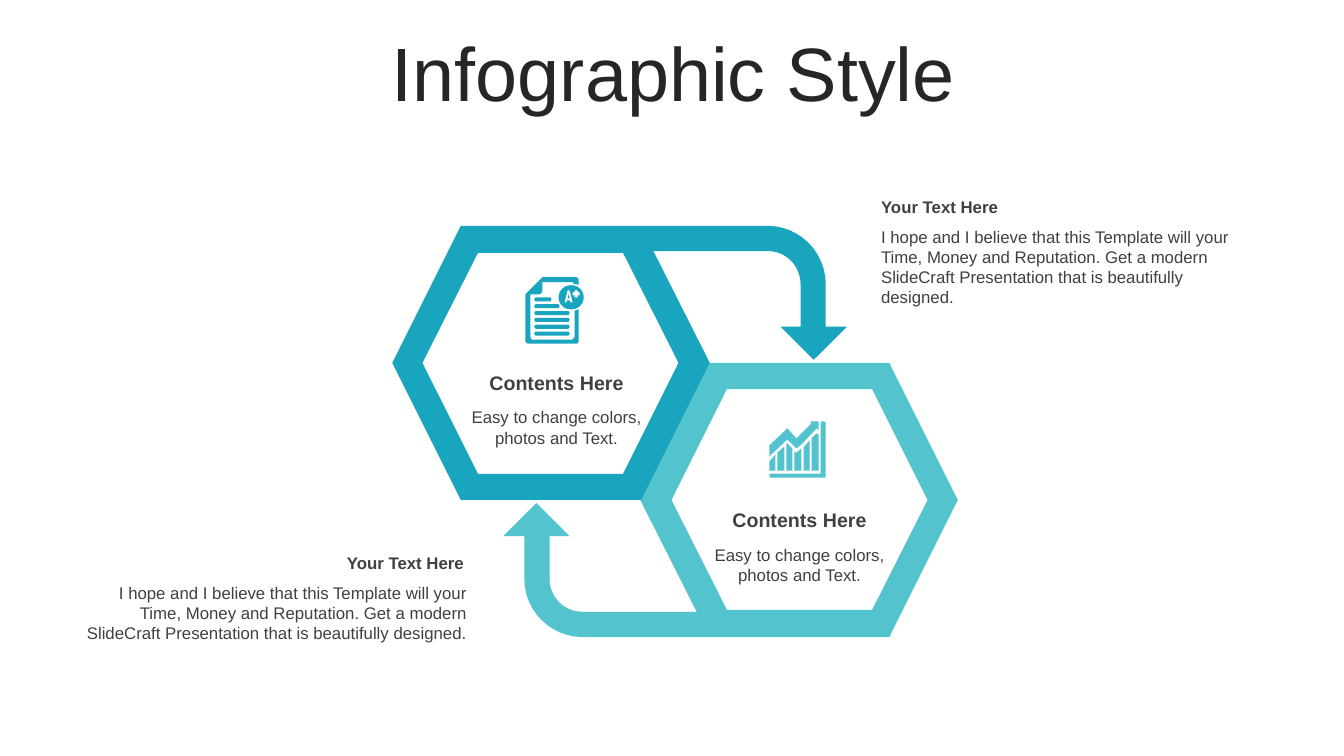
from dataclasses import dataclass
import math

import pptx
import pptx.dml.color
import pptx.enum.text
import pptx.util

Align = pptx.enum.text.PP_ALIGN
Anchor = pptx.enum.text.MSO_ANCHOR
Outline = list[tuple[float, ...]]  # two numbers: a corner; six: a Bézier curve

FONT = "Arial"
BLUE, AQUA, DARK, GREY = "19A5BE", "53C3CD", "262626", "404040"
PROMISE = ("I hope and I believe that this Template will your Time, Money and Reputation. "
           "Get a modern SlideCraft Presentation that is beautifully designed.")
CURVE_STEPS = 12


@dataclass
class Caption:
    text: str
    left: float
    top: float
    width: float
    height: float
    align: Align
    size: int = 12
    bold: bool = False
    space_before: float = 0


@dataclass
class Figure:
    outlines: list[Outline]
    color: str


def inches(value: float) -> pptx.util.Length:
    return pptx.util.Cm(value * 2.54)


def rgb(value: str) -> pptx.dml.color.RGBColor:
    return pptx.dml.color.RGBColor.from_string(value)


# Outline helpers
def flatten(outline: Outline) -> Outline:
    """Replace each Bézier curve by short straight steps."""
    points: Outline = []
    for item in outline:
        if len(item) == 2:
            points.append(item)
            continue
        start = points[-1]
        for step in range(1, CURVE_STEPS + 1):
            t = step / CURVE_STEPS
            u = 1 - t
            points.append(tuple(
                u**3 * start[i] + 3 * u * u * t * item[i]
                + 3 * u * t * t * item[i + 2] + t**3 * item[i + 4]
                for i in (0, 1)))
    return points


def pill(left: float, top: float, right: float, bottom: float) -> Outline:
    """A bar with round ends; as wide as high, it is a circle."""
    radius, middle = (bottom - top) / 2, (top + bottom) / 2
    points: Outline = []
    for center, first in ((right - radius, -90), (left + radius, 90)):
        for step in range(CURVE_STEPS + 1):
            angle = math.radians(first + 180 * step / CURVE_STEPS)
            points.append((center + radius * math.cos(angle),
                           middle + radius * math.sin(angle)))
    return points


def half_turn(outline: Outline, across: float, down: float) -> Outline:
    return [(across - x, down - y) for x, y in flatten(outline)]


# Drawing
def draw_figure(page, figure: Figure) -> None:
    builder = None
    for outline in figure.outlines:
        points = [(inches(x), inches(y)) for x, y in flatten(outline)]
        if builder is None:
            builder = page.shapes.build_freeform(*points[0])
        else:
            builder.move_to(*points[0])
        builder.add_line_segments(points[1:], close=True)
    shape = builder.convert_to_shape()
    shape.shadow.inherit = False
    shape.fill.solid()
    shape.fill.fore_color.rgb = rgb(figure.color)
    shape.line.fill.background()


def format_text(box, caption: Caption, color: str) -> None:
    box.left, box.top = inches(caption.left), inches(caption.top)
    box.width, box.height = inches(caption.width), inches(caption.height)
    frame = box.text_frame
    frame.text = caption.text
    frame.word_wrap = True
    para = frame.paragraphs[0]
    para.alignment = caption.align
    para.space_before = pptx.util.Pt(caption.space_before)
    font = para.runs[0].font
    font.name, font.size, font.bold = FONT, pptx.util.Pt(caption.size), caption.bold
    font.color.rgb = rgb(color)


# Hexagon with its bent arrow; the second is the first after a half turn
HEXAGON: list[Outline] = [
    [(4.74, 2.51), (4.19, 3.6), (4.74, 4.7), (6.18, 4.7), (6.73, 3.6), (6.18, 2.51)],
    [(4.57, 2.24), (7.61, 2.24), (7.93, 2.24, 8.19, 2.5, 8.19, 2.82), (8.19, 3.24),
     (8.4, 3.24), (8.07, 3.57), (7.74, 3.24), (7.94, 3.24), (7.94, 2.82),
     (7.94, 2.64, 7.8, 2.49, 7.61, 2.49), (6.48, 2.49), (7.04, 3.6), (6.36, 4.96),
     (4.57, 4.96), (3.89, 3.6)],
]

# Growth chart icon: bars, trend arrow, axis frame
BAR_TOPS: list[Outline] = [
    [(7.63, 4.58), (7.69, 4.51)],
    [(7.71, 4.49), (7.78, 4.43)],
    [(7.8, 4.39), (7.86, 4.45)],
    [(7.88, 4.48), (7.9, 4.49), (7.95, 4.45)],
    [(7.97, 4.44), (8.03, 4.37)],
    [(8.05, 4.35), (8.1, 4.3), (8.12, 4.31)],
]
GROWTH: list[Outline] = [top + [(top[-1][0], 4.67), (top[0][0], 4.67)] for top in BAR_TOPS] + [
    [(8.12, 4.18), (8.12, 4.27), (8.1, 4.25), (7.96, 4.4), (7.9, 4.45), (7.81, 4.36),
     (7.63, 4.53), (7.63, 4.42), (7.81, 4.25), (7.9, 4.35), (8.05, 4.2), (8.03, 4.18)],
    [(8.16, 4.18), (8.18, 4.18, 8.19, 4.19, 8.19, 4.2), (8.19, 4.74), (7.65, 4.74),
     (7.64, 4.74, 7.63, 4.73, 7.63, 4.72), (7.63, 4.71, 7.64, 4.7, 7.65, 4.7),
     (8.14, 4.7), (8.14, 4.2), (8.14, 4.19, 8.15, 4.18, 8.16, 4.18)],
]

# Graded paper icon: text lines, badge with A+, sheet
LINE_ENDS = [5.47, 5.55, 5.65, 5.65, 5.65, 5.65]
PAPER: list[Outline] = [
    pill(5.3, 2.95 + 0.068 * row, end, 2.99 + 0.068 * row) for row, end in enumerate(LINE_ENDS)
] + [
    pill(5.54, 2.83, 5.79, 3.07),
    [(5.64, 2.92), (5.65, 2.96), (5.63, 2.96)],
    [(5.63, 2.88), (5.6, 3), (5.62, 3), (5.62, 2.98), (5.65, 2.98), (5.66, 3),
     (5.68, 3), (5.65, 2.88)],
    [(5.7, 2.88), (5.7, 2.9), (5.68, 2.9), (5.68, 2.93), (5.7, 2.93), (5.7, 2.95),
     (5.73, 2.95), (5.73, 2.93), (5.75, 2.93), (5.75, 2.9), (5.73, 2.9), (5.73, 2.88)],
    [(5.38, 2.75), (5.71, 2.75), (5.73, 2.75, 5.74, 2.77, 5.74, 2.78), (5.74, 2.83),
     (5.73, 2.82, 5.71, 2.82, 5.69, 2.82), (5.69, 2.8, 5.68, 2.8, 5.67, 2.8),
     (5.38, 2.8), (5.38, 2.89), (5.38, 2.9, 5.36, 2.92, 5.35, 2.92), (5.26, 2.92),
     (5.26, 3.34), (5.26, 3.35, 5.27, 3.37, 5.28, 3.37), (5.67, 3.37),
     (5.68, 3.37, 5.7, 3.35, 5.7, 3.34), (5.7, 3.08), (5.71, 3.08, 5.73, 3.07, 5.74, 3.07),
     (5.74, 3.38), (5.74, 3.4, 5.73, 3.41, 5.71, 3.41), (5.25, 3.41),
     (5.23, 3.41, 5.21, 3.4, 5.21, 3.38), (5.21, 2.92)],
]

FIGURES = [
    Figure([half_turn(outline, 13.39, 8.56) for outline in HEXAGON], AQUA),
    Figure(HEXAGON, BLUE),
    Figure(GROWTH, AQUA),
    Figure(PAPER, BLUE),
]

# Wording
TITLE = Caption("Infographic Style", 0.35, 0.37, 12.66, 0.79, Align.CENTER, 54, space_before=10)
CAPTIONS = [
    Caption(PROMISE, 8.64, 2.2, 3.92, 0.91, Align.LEFT),
    Caption("Your Text Here", 8.64, 1.9, 3.92, 0.3, Align.LEFT, bold=True),
    Caption(PROMISE, 0.74, 5.73, 3.99, 0.91, Align.RIGHT),
    Caption("Your Text Here", 0.74, 5.43, 3.96, 0.3, Align.RIGHT, bold=True),
]
for left, top in ((4.53, 3.63), (6.94, 4.99)):
    CAPTIONS += [
        Caption("Easy to change colors, photos and Text.", left, top + 0.36, 1.98, 0.51,
                Align.CENTER, space_before=2.4),
        Caption("Contents Here", left, top, 1.98, 0.33, Align.CENTER, 14, True, 2.8),
    ]


def main() -> None:
    deck = pptx.Presentation()
    deck.slide_width, deck.slide_height = inches(13.33), inches(7.5)
    page = deck.slides.add_slide(deck.slide_layouts[5])

    title = page.shapes.title
    format_text(title, TITLE, DARK)
    title.text_frame.vertical_anchor = Anchor.MIDDLE
    title.text_frame.auto_size = pptx.enum.text.MSO_AUTO_SIZE.NONE
    title.text_frame.paragraphs[0].line_spacing = 0.9

    for figure in FIGURES:
        draw_figure(page, figure)
    for caption in CAPTIONS:
        format_text(page.shapes.add_textbox(0, 0, 0, 0), caption, GREY)
    deck.save("out.pptx")


if __name__ == "__main__":
    main()
